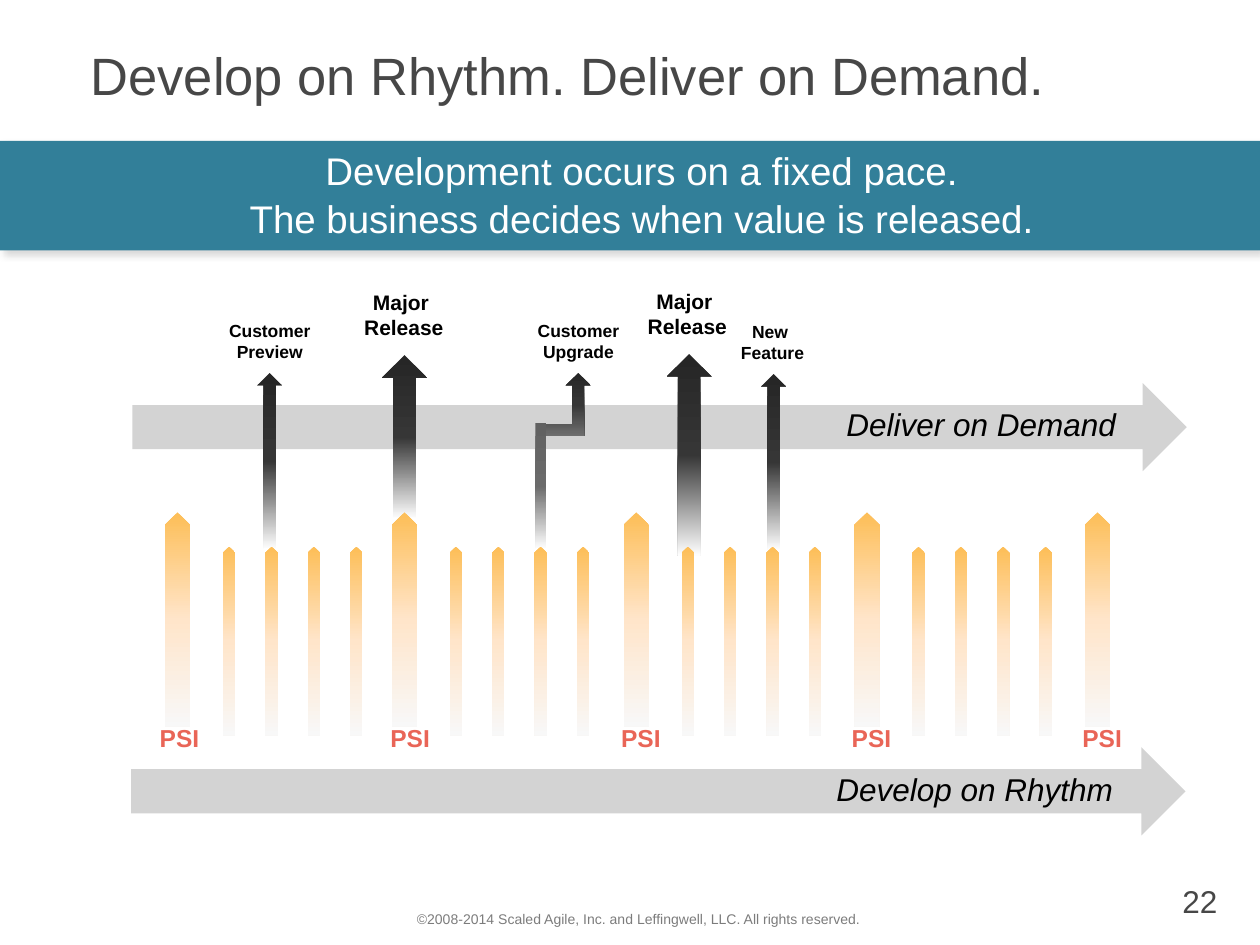
from lxml.etree import SubElement
from pptx import Presentation
from pptx.dml.color import RGBColor
from pptx.enum.shapes import MSO_SHAPE as Shape
from pptx.enum.text import MSO_ANCHOR as Anchor, MSO_AUTO_SIZE as AutoSize, PP_ALIGN as Align
from pptx.oxml.ns import qn
from pptx.util import Pt

FONT = "Arial"
TEAL = RGBColor(0x32, 0x7F, 0x99)
WHITE = RGBColor(0xFF, 0xFF, 0xFF)
BLACK = RGBColor(0, 0, 0)
CHARCOAL = RGBColor(0x47, 0x47, 0x47)
FOOTER_GRAY = RGBColor(0x7C, 0x7C, 0x7C)
TRACK_GRAY = RGBColor(0xD3, 0xD3, 0xD3)
CORAL = RGBColor(0xE9, 0x65, 0x57)
INK = RGBColor(0x26, 0x26, 0x26)
INK_MID = RGBColor(0x36, 0x36, 0x36)
BEND_END = RGBColor(0x6E, 0x6E, 0x6E)
STEM_TOP = RGBColor(0x61, 0x61, 0x61)
STEM_MID = RGBColor(0x6B, 0x6B, 0x6B)
AMBER = RGBColor(0xFD, 0xBE, 0x57)
PEACH = RGBColor(0xFF, 0xE5, 0xCA)
PALE = RGBColor(0xF8, 0xF8, 0xF8)

RELEASE_FADE = (INK, INK_MID, WHITE)
BEND_FADE = (INK, INK_MID, BEND_END)
STEM_FADE = (STEM_TOP, STEM_MID, WHITE)
BAR_FADE = (AMBER, PEACH, PALE)

PSI_CENTERS = (101.5, 231.1, 363.6, 495.4, 627.1)
ITERATIONS_PER_PSI = 4
ITERATION_OFFSET = 29.5
ITERATION_PITCH = 24.2


def format_text(paragraph, size, color, bold=False, italic=False, align=Align.LEFT):
    paragraph.alignment = align
    font = paragraph.font
    font.name = FONT
    font.size = Pt(size)
    font.color.rgb = color
    font.bold = bold
    font.italic = italic


def move(shape, left, top, width, height):
    shape.left, shape.top = Pt(left), Pt(top)
    shape.width, shape.height = Pt(width), Pt(height)


def add_label(slide, text, box, size, color, wrap=False, **style):
    label = slide.shapes.add_textbox(*map(Pt, box))
    frame = label.text_frame
    frame.word_wrap = wrap
    frame.auto_size = AutoSize.SHAPE_TO_FIT_TEXT
    frame.text = text
    for paragraph in frame.paragraphs:
        format_text(paragraph, size, color, **style)


def add_plain(slide, kind, box):
    shape = slide.shapes.add_shape(kind, *map(Pt, box))
    shape.shadow.inherit = False
    shape.line.fill.background()
    return shape


def add_solid(slide, kind, box, color):
    shape = add_plain(slide, kind, box)
    shape.fill.solid()
    shape.fill.fore_color.rgb = color
    return shape


def add_faded(slide, kind, box, colors, angle=90):
    shape = add_plain(slide, kind, box)
    shape.fill.gradient()
    gradient = shape._element.spPr.find(qn("a:gradFill"))
    gradient.find(qn("a:lin")).set("ang", str(angle * 60000))
    stops = gradient.find(qn("a:gsLst"))
    for stop in list(stops):
        stops.remove(stop)
    for position, color in zip((0, 50000, 100000), colors):
        stop = SubElement(stops, qn("a:gs"), pos=str(position))
        SubElement(stop, qn("a:srgbClr"), val=str(color))
    return shape


def add_bar(slide, center_x, center_y, length, thickness):
    box = (center_x - length / 2, center_y - thickness / 2, length, thickness)
    bar = add_faded(slide, Shape.PENTAGON, box, BAR_FADE, angle=180)
    bar.rotation = 270


def add_track(slide, left, top, caption, caption_box):
    add_solid(slide, Shape.RIGHT_ARROW, (left, top, 602.6, 50.4), TRACK_GRAY)
    add_label(slide, caption, caption_box, 18, BLACK, italic=True)


def add_band(slide):
    band = add_solid(slide, Shape.RECTANGLE, (0, 80.6, 720, 62.6), TEAL)
    effects = band._element.spPr.find(qn("a:effectLst"))
    shadow = SubElement(effects, qn("a:outerShdw"), blurRad=str(Pt(4)),
                        dist=str(Pt(3)), dir=str(45 * 60000), rotWithShape="0")
    black = SubElement(shadow, qn("a:srgbClr"), val=str(BLACK))
    SubElement(black, qn("a:alpha"), val="14000")
    slide.shapes._spTree.insert(2, band._element)


def fill_headings(slide):
    title = slide.shapes.title
    move(title, 44.6, 20.9, 645.8, 31.7)
    frame = title.text_frame
    frame.text = "Develop on Rhythm. Deliver on Demand."
    frame.auto_size = AutoSize.NONE
    frame.vertical_anchor = Anchor.TOP
    frame.margin_top, frame.margin_bottom = Pt(3.5), Pt(3.6)
    format_text(frame.paragraphs[0], 30, CHARCOAL)

    message = slide.placeholders[1]
    move(message, 46.8, 79.9, 645.8, 60.5)
    frame = message.text_frame
    frame.text = "Development occurs on a fixed pace. \vThe business decides when value is released. "
    frame.auto_size = AutoSize.NONE
    frame.vertical_anchor = Anchor.MIDDLE
    paragraph = frame.paragraphs[0]
    properties = paragraph._p.get_or_add_pPr()
    properties.set("marL", "0")
    properties.set("indent", "0")
    SubElement(properties, qn("a:buNone"))
    paragraph.space_before = Pt(0)
    paragraph.line_spacing = 1.04
    format_text(paragraph, 22, WHITE, align=Align.CENTER)


def add_releases(slide):
    releases = (
        ("Major \nRelease", (200.9, 162, 59.8, 36), 12, (218.2, 203, 25.9, 93.6)),
        ("Customer Preview", (115.2, 179.3, 77.8, 31.7), 10, (146.9, 213.1, 14.4, 100.8)),
        ("Major \nRelease", (362.9, 161.3, 59.8, 36), 12, (380.9, 202.3, 25.9, 115.2)),
        ("New \nFeature", (402.5, 180, 77.8, 31.7), 10, (434.9, 213.8, 14.4, 100.8)),
    )
    bend = add_faded(slide, Shape.BENT_UP_ARROW, (308.9, 213.1, 28.8, 36), BEND_FADE)
    bend.adjustments[0] = 0.232
    add_faded(slide, Shape.RECTANGLE, (306, 241.9, 6, 72), STEM_FADE)
    add_label(slide, "Customer Upgrade", (291.6, 179.3, 77.8, 32.4), 10, BLACK,
              wrap=True, bold=True, align=Align.CENTER)
    for caption, caption_box, size, arrow_box in releases:
        add_faded(slide, Shape.UP_ARROW, arrow_box, RELEASE_FADE)
        add_label(slide, caption, caption_box, size, BLACK,
                  wrap=size == 10, bold=True, align=Align.CENTER)


def add_rhythm(slide):
    for center in PSI_CENTERS:
        add_bar(slide, center, 354, 122.4, 14.4)
    for center in PSI_CENTERS[:-1]:
        for index in range(ITERATIONS_PER_PSI):
            x = center + ITERATION_OFFSET + index * ITERATION_PITCH
            add_bar(slide, x, 366.3, 108, 7.2)


def add_psi_labels(slide):
    for index in range(len(PSI_CENTERS)):
        box = (84.2 + index * 131.8, 409.7, 37.4, 24.5)
        add_label(slide, "PSI", box, 14, CORAL, bold=True)


def main():
    deck = Presentation()
    deck.slide_width, deck.slide_height = Pt(720), Pt(540)
    slide = deck.slides.add_slide(deck.slide_layouts[1])
    add_band(slide)
    fill_headings(slide)
    add_track(slide, 75.6, 218.9, "Deliver on Demand", (476.6, 228.2, 169.9, 28.8))
    add_releases(slide)
    add_rhythm(slide)
    add_track(slide, 74.9, 427, "Develop on Rhythm", (470.9, 436.3, 174.2, 28.8))
    add_psi_labels(slide)
    add_label(slide, "©2008-2014 Scaled Agile, Inc. and Leffingwell, LLC. All rights reserved.",
              (231.1, 517, 326.9, 17.3), 8, FOOTER_GRAY, wrap=True)
    add_label(slide, "22", (516.2, 500.4, 186.5, 28.8), 18, CHARCOAL,
              wrap=True, align=Align.RIGHT)
    deck.save("out.pptx")


if __name__ == "__main__":
    main()
